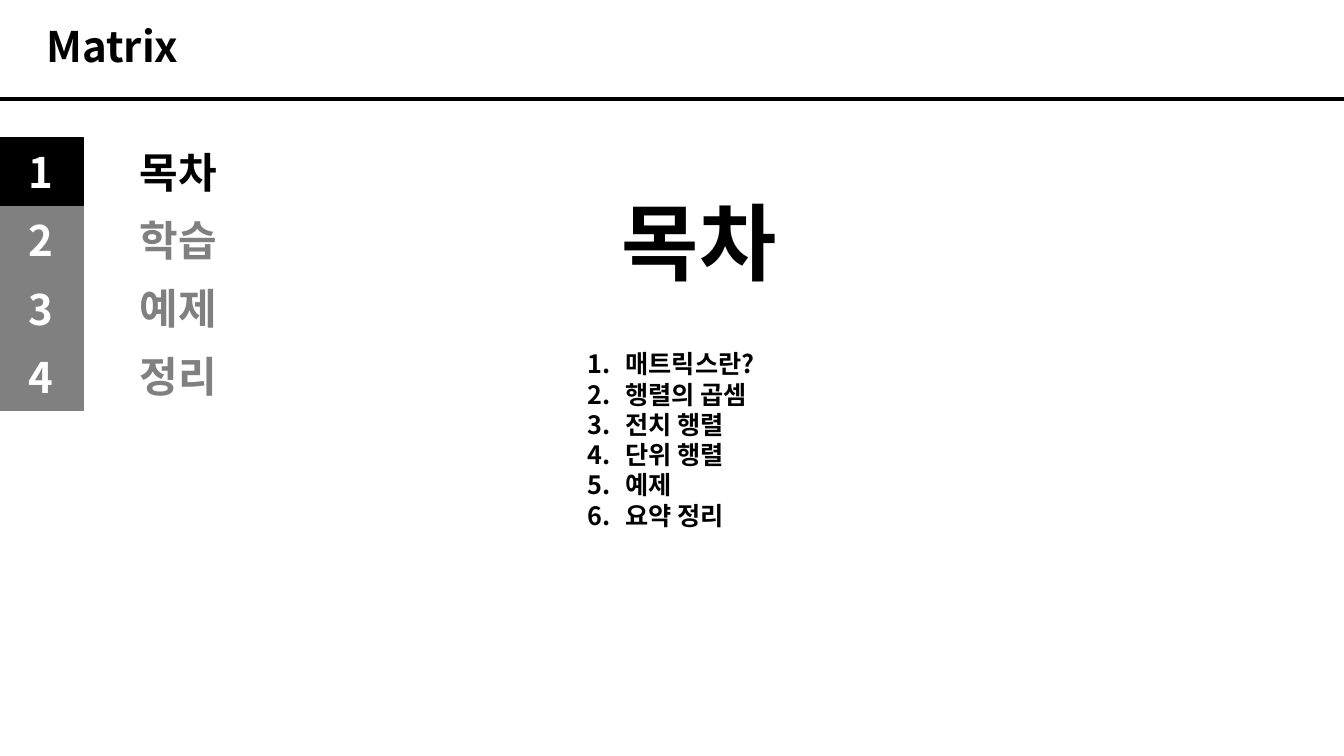
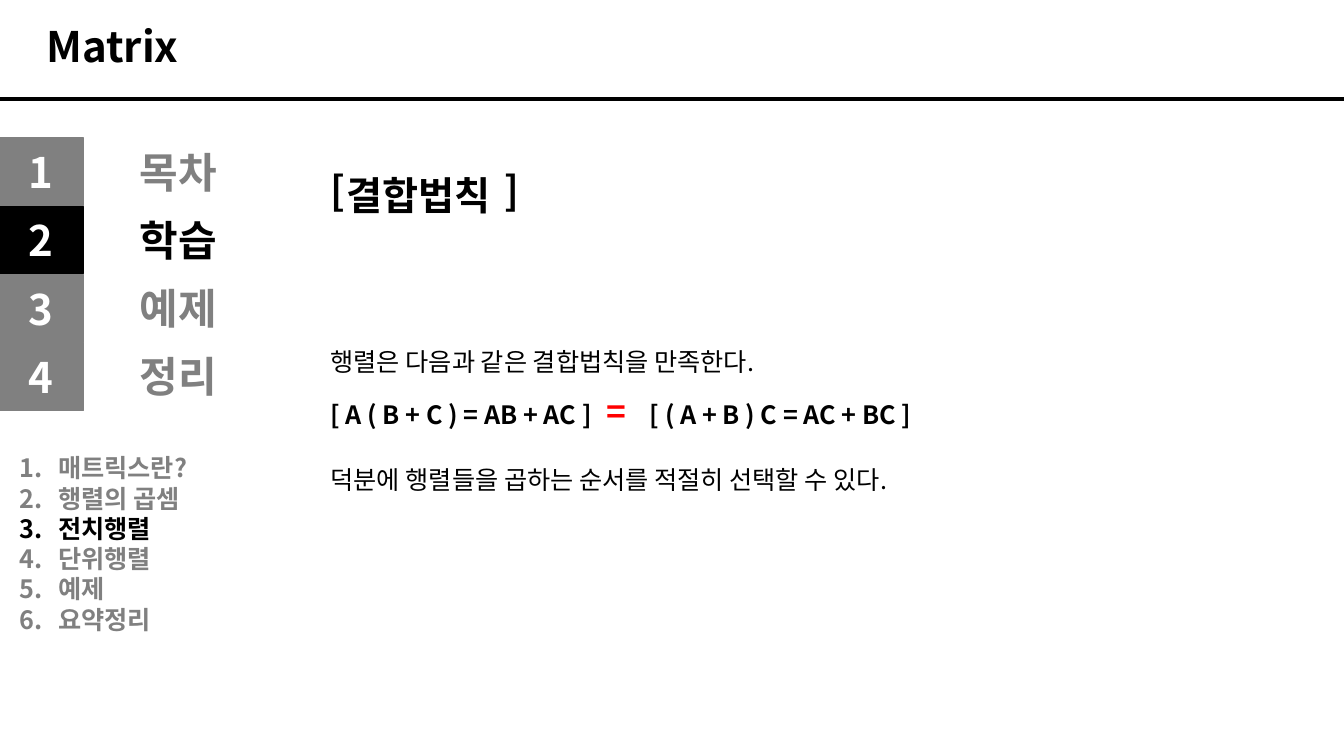
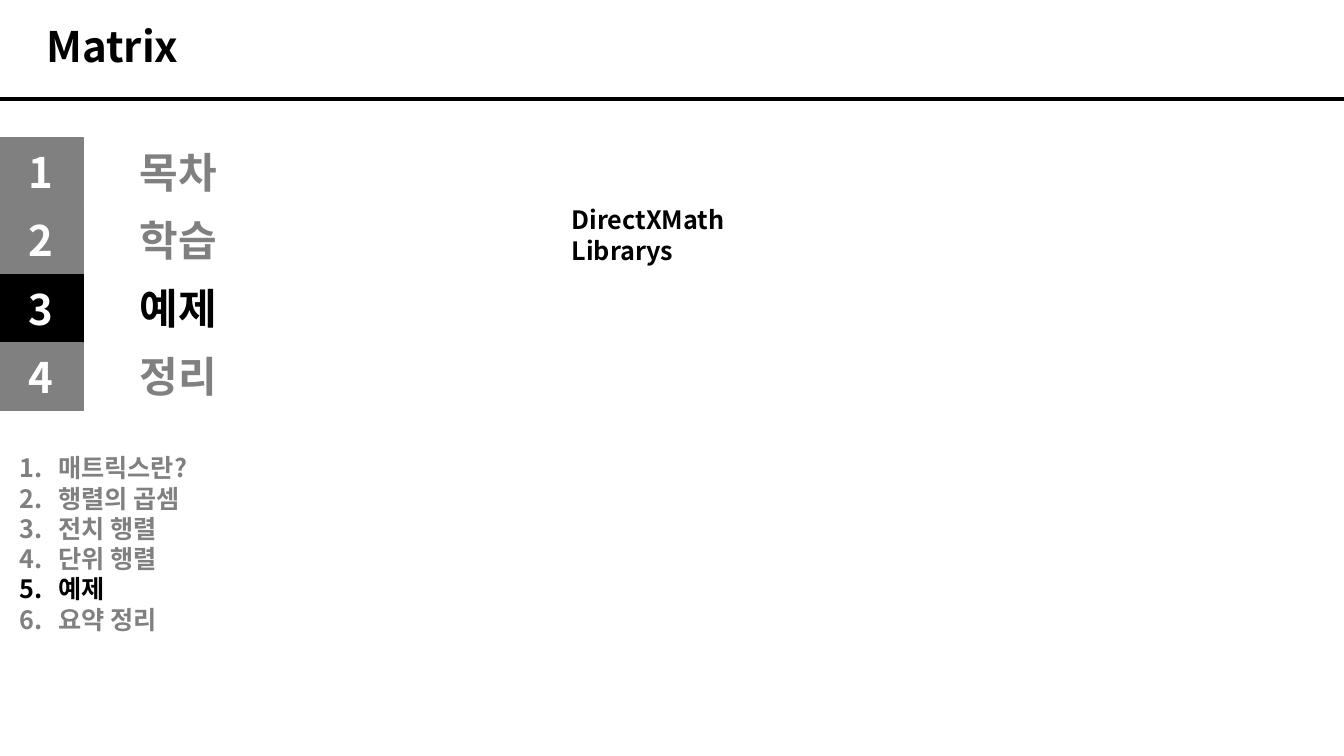
from dataclasses import dataclass

from pptx import Presentation
from pptx.dml.color import RGBColor as Color
from pptx.enum.shapes import MSO_CONNECTOR as Connector, MSO_SHAPE as Preset
from pptx.enum.text import MSO_ANCHOR as Anchor, MSO_AUTO_SIZE as AutoSize, PP_ALIGN as Align
from pptx.oxml.ns import qn
from pptx.util import Cm, Pt
from lxml.etree import SubElement


@dataclass(frozen=True)
class Theme:
    font: str = "Noto Sans CJK KR"
    ink: Color = Color(0, 0, 0)
    muted: Color = Color(0x80, 0x80, 0x80)
    paper: Color = Color(0xFF, 0xFF, 0xFF)
    accent: Color = Color(0xFF, 0, 0)
    cover: int = 60
    heading: int = 30
    topic: int = 28
    symbol: int = 24
    body: int = 18


THEME = Theme()
WIDTH, HEIGHT = 33.87, 19.05
SECTIONS = ["목차", "학습", "예제", "정리"]
TOPICS = ["매트릭스란?", "행렬의 곱셈", "전치 행렬", "단위 행렬", "예제", "요약 정리"]
JOINED_TOPICS = ["매트릭스란?", "행렬의 곱셈", "전치행렬", "단위행렬", "예제", "요약정리"]
TITLE_BOX = (8.59, 3.63, 18.06, 3.86)
CONTENTS_BOX = (14.55, 8.66, 5, 4.88)
SIDE_LIST_BOX = (0.25, 11.28, 5, 4.88)
NAVIGATION_BOX = (-0.03, 3.48, 6.2, 6.88)
LAW_BOX = (8.08, 4.06, 18.19, 8.54)
LIBRARY_BOX = (14.15, 5.03, 6.9, 1.02)


# Text helpers
def place(shape, left, top, width, height):
    shape.left, shape.top = Cm(left), Cm(top)
    shape.width, shape.height = Cm(width), Cm(height)


def add_run(para, text, size, color=THEME.ink, bold=True):
    run = para.add_run()
    run.text = text
    font = run.font
    font.name, font.size, font.bold = THEME.font, Pt(size), bold
    font.color.rgb = color
    SubElement(run._r.get_or_add_rPr(), qn("a:ea"), typeface=THEME.font)


def set_frame(shape, anchor=Anchor.TOP, align=Align.LEFT, spacing=1.0):
    frame = shape.text_frame
    frame.word_wrap = True
    frame.auto_size = AutoSize.NONE
    frame.vertical_anchor = anchor
    para = frame.paragraphs[0]
    para.alignment, para.line_spacing = align, spacing
    return para


def add_label(page, box, text, size, color=THEME.ink, bold=True, **layout):
    label = page.shapes.add_textbox(*map(Cm, box))
    add_run(set_frame(label, **layout), text, size, color, bold)


def set_title(page, box, text, size, **layout):
    title = page.shapes.title
    place(title, *box)
    add_run(set_frame(title, **layout), text, size)


# Shared regions
def add_header(page):
    add_label(page, (0, 0, 5.67, 1.93), "Matrix", THEME.heading,
              anchor=Anchor.BOTTOM, align=Align.CENTER, spacing=0.9)
    rule = page.shapes.add_connector(Connector.STRAIGHT, 0, Cm(2.49), Cm(WIDTH), Cm(2.49))
    rule.line.color.rgb, rule.line.width = THEME.ink, Pt(3)
    SubElement(rule._element.spPr, qn("a:effectLst"))


def add_navigation(page, box, current):
    left, top, width, height = box
    pitch = height / len(SECTIONS)
    for number, section in enumerate(SECTIONS, 1):
        row_top = top + (number - 1) * pitch
        color = THEME.ink if section == current else THEME.muted
        tile = page.shapes.add_shape(Preset.RECTANGLE, Cm(left), Cm(row_top), Cm(2.13), Cm(1.7))
        tile.shadow.inherit = False
        tile.fill.solid()
        tile.fill.fore_color.rgb = tile.line.color.rgb = color
        tile.line.width = Pt(1)
        para = set_frame(tile, Anchor.MIDDLE, Align.CENTER)
        add_run(para, str(number), THEME.heading, THEME.paper)
        add_label(page, (left + 2.86, row_top + 0.08, width - 2.86, 1.55), section,
                  THEME.heading, color, align=Align.CENTER)


def fill_topics(page, box, topics, current=None):
    body = page.placeholders[1]
    place(body, *box)
    para = set_frame(body)
    for index, topic in enumerate(topics):
        if index:
            para = body.text_frame.add_paragraph()
        para.space_before, para.line_spacing = Pt(0), 1.0
        properties = para._p.get_or_add_pPr()
        properties.set("marL", str(Cm(0.96)))
        properties.set("indent", str(-Cm(0.96)))
        SubElement(properties, qn("a:buFont"), typeface="+mj-lt")
        SubElement(properties, qn("a:buAutoNum"), type="arabicPeriod")
        lit = current is None or topic == current
        add_run(para, topic, THEME.body, THEME.ink if lit else THEME.muted)


def add_page(deck, section):
    page = deck.slides.add_slide(deck.slide_layouts[1])
    add_header(page)
    add_navigation(page, NAVIGATION_BOX, section)
    return page


# Distributive forms on either side of a red equals sign, set on tab stops
def add_formula(page, box):
    formula = page.shapes.add_textbox(*map(Cm, box))
    para = set_frame(formula)
    stops = SubElement(para._p.get_or_add_pPr(), qn("a:tabLst"))
    for stop in (6.95, 8.05):
        SubElement(stops, qn("a:tab"), pos=str(Cm(stop)), algn="l")
    add_run(para, "[ A ( B + C ) = AB + AC ]\t", THEME.body)
    add_run(para, "=\t", THEME.symbol, THEME.accent)
    add_run(para, "[ ( A + B ) C = AC + BC ]", THEME.body)


def add_law(page, box):
    left, top, width, _ = box
    set_title(page, (left + 0.4, top + 0.13, 4.5, 1.45), "결합법칙", THEME.topic)
    for bracket, offset in (("[", 0), ("]", 4.39)):
        add_label(page, (left + offset, top, 0.9, 1.45), bracket, THEME.topic)
    sentences = [("행렬은 다음과 같은 결합법칙을 만족한다.", 4.55),
                 ("덕분에 행렬들을 곱하는 순서를 적절히 선택할 수 있다.", 7.52)]
    for sentence, offset in sentences:
        add_label(page, (left, top + offset, width, 1.02), sentence, THEME.body, bold=False)
    add_formula(page, (left, top + 5.67, width, 1.27))


# Slides
def add_contents_page(deck):
    page = add_page(deck, "목차")
    set_title(page, TITLE_BOX, "목차", THEME.cover,
              anchor=Anchor.BOTTOM, align=Align.CENTER, spacing=0.9)
    fill_topics(page, CONTENTS_BOX, TOPICS)


def add_law_page(deck):
    page = add_page(deck, "학습")
    add_law(page, LAW_BOX)
    fill_topics(page, SIDE_LIST_BOX, JOINED_TOPICS, "전치행렬")


def add_example_page(deck):
    page = add_page(deck, "예제")
    set_title(page, LIBRARY_BOX, "DirectXMath Librarys", THEME.body)
    fill_topics(page, SIDE_LIST_BOX, TOPICS, "예제")


def main():
    deck = Presentation()
    deck.slide_width, deck.slide_height = Cm(WIDTH), Cm(HEIGHT)
    add_contents_page(deck)
    add_law_page(deck)
    add_example_page(deck)
    deck.save("out.pptx")


if __name__ == "__main__":
    main()
